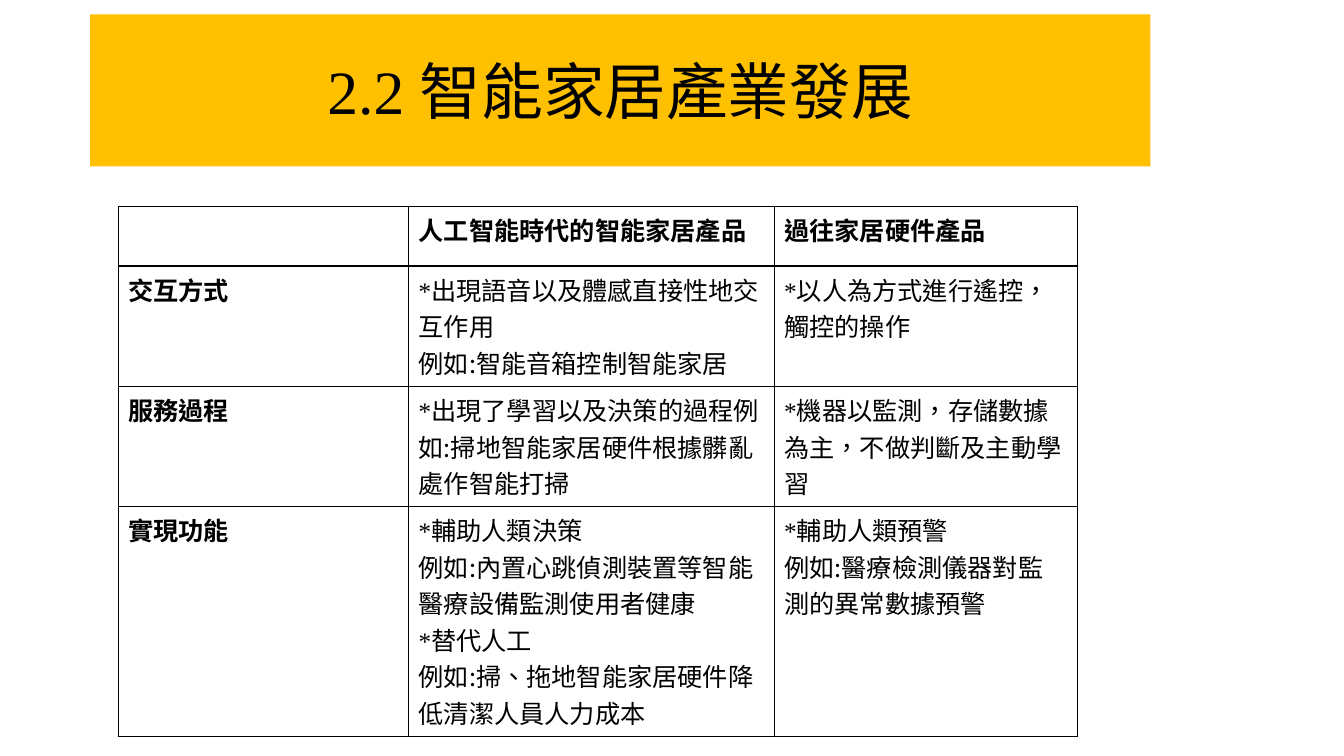
from lxml import etree
from pptx import Presentation
from pptx.dml.color import RGBColor
from pptx.enum.text import MSO_ANCHOR, MSO_AUTO_SIZE, PP_ALIGN
from pptx.oxml.ns import qn
from pptx.util import Inches, Pt

MIDDLE, CENTER, NO_FIT = MSO_ANCHOR.MIDDLE, PP_ALIGN.CENTER, MSO_AUTO_SIZE.NONE
TITLE_ONLY = 5
COLORS = {"ink": "000000", "paper": "FFFFFF", "banner": "FFC000"}
LATIN, CHINESE = "Times New Roman", "Noto Sans CJK SC"

COMPARISON = [
    ["", ["人工智能時代的智能家居產品"], ["過往家居硬件產品"]],
    [["交互方式"],
     ["*出現語音以及體感直接性地交互作用", "例如:智能音箱控制智能家居"],
     ["*以人為方式進行遙控，觸控的操作"]],
    [["服務過程"],
     ["*出現了學習以及決策的過程例如:掃地智能家居硬件根據髒亂處作智能打掃"],
     ["*機器以監測，存儲數據為主，不做判斷及主動學習"]],
    [["實現功能"],
     ["*輔助人類決策", "例如:內置心跳偵測裝置等智能醫療設備監測使用者健康",
      "*替代人工", "例如:掃、拖地智能家居硬件降低清潔人員人力成本"],
     ["*輔助人類預警", "例如:醫療檢測儀器對監測的異常數據預警"]],
]
COLUMN_SHARES = [0.216, 0.272, 0.226]
ROW_SHARES = [0.079, 0.159, 0.159, 0.304]


def rgb(name):
    return RGBColor.from_string(COLORS[name])


def add_text(paragraph, text, *, size, font=CHINESE, bold=False, color="ink"):
    run = paragraph.add_run()
    run.text = text
    run.font.size, run.font.bold, run.font.name = Pt(size), bold, font
    run.font.color.rgb = rgb(color)
    properties = run.font._element
    properties.set("lang", "zh-TW")
    etree.SubElement(properties, qn("a:ea"), typeface=font)


class ComparisonSlide:
    def __init__(self, deck):
        self.width, self.height = deck.slide_width, deck.slide_height
        self.slide = deck.slides.add_slide(deck.slide_layouts[TITLE_ONLY])

    def box(self, left, top, width, height):
        """Turn shares of the slide's size into lengths."""
        return (round(left * self.width), round(top * self.height),
                round(width * self.width), round(height * self.height))

    def title(self, number, heading, area):
        banner = self.slide.shapes.title
        banner.left, banner.top, banner.width, banner.height = self.box(*area)
        banner.fill.solid()
        banner.fill.fore_color.rgb = rgb("banner")
        frame = banner.text_frame
        frame.word_wrap, frame.auto_size, frame.vertical_anchor = True, NO_FIT, MIDDLE
        line = frame.paragraphs[0]
        line.alignment = CENTER
        add_text(line, number, size=44, font=LATIN)
        add_text(line, heading, size=44)

    def table(self, rows, left, top):
        area = self.box(left, top, sum(COLUMN_SHARES), sum(ROW_SHARES))
        grid = self.slide.shapes.add_table(len(rows), len(rows[0]), *area).table
        grid.first_row = grid.horz_banding = False
        for column, share in zip(grid.columns, COLUMN_SHARES):
            column.width = round(share * self.width)
        for row, share in zip(grid.rows, ROW_SHARES):
            row.height = round(share * self.height)
        for r, row in enumerate(rows):
            for c, lines in enumerate(row):
                self.cell(grid.cell(r, c), lines, bold=r == 0 or c == 0)

    def cell(self, cell, lines, bold):
        self.borders(cell)
        cell.fill.solid()
        cell.fill.fore_color.rgb = rgb("paper")
        for i, line in enumerate(lines):
            frame = cell.text_frame
            paragraph = frame.add_paragraph() if i else frame.paragraphs[0]
            if line.startswith("*"):
                add_text(paragraph, "*", size=18, font=LATIN, bold=bold)
            add_text(paragraph, line.lstrip("*"), size=18, bold=bold)

    def borders(self, cell):
        properties = cell._tc.get_or_add_tcPr()
        for side in ("a:lnL", "a:lnR", "a:lnT", "a:lnB"):
            edge = etree.SubElement(properties, qn(side), w=str(Pt(1)))
            fill = etree.SubElement(edge, qn("a:solidFill"))
            etree.SubElement(fill, qn("a:srgbClr"), val=COLORS["ink"])


def main():
    deck = Presentation()
    deck.slide_width, deck.slide_height = Inches(13.33), Inches(7.5)
    page = ComparisonSlide(deck)
    page.title("2.2 ", "智能家居產業發展", (0.067, 0.019, 0.789, 0.201))
    page.table(COMPARISON, left=0.088, top=0.273)
    deck.save("out.pptx")


if __name__ == "__main__":
    main()
